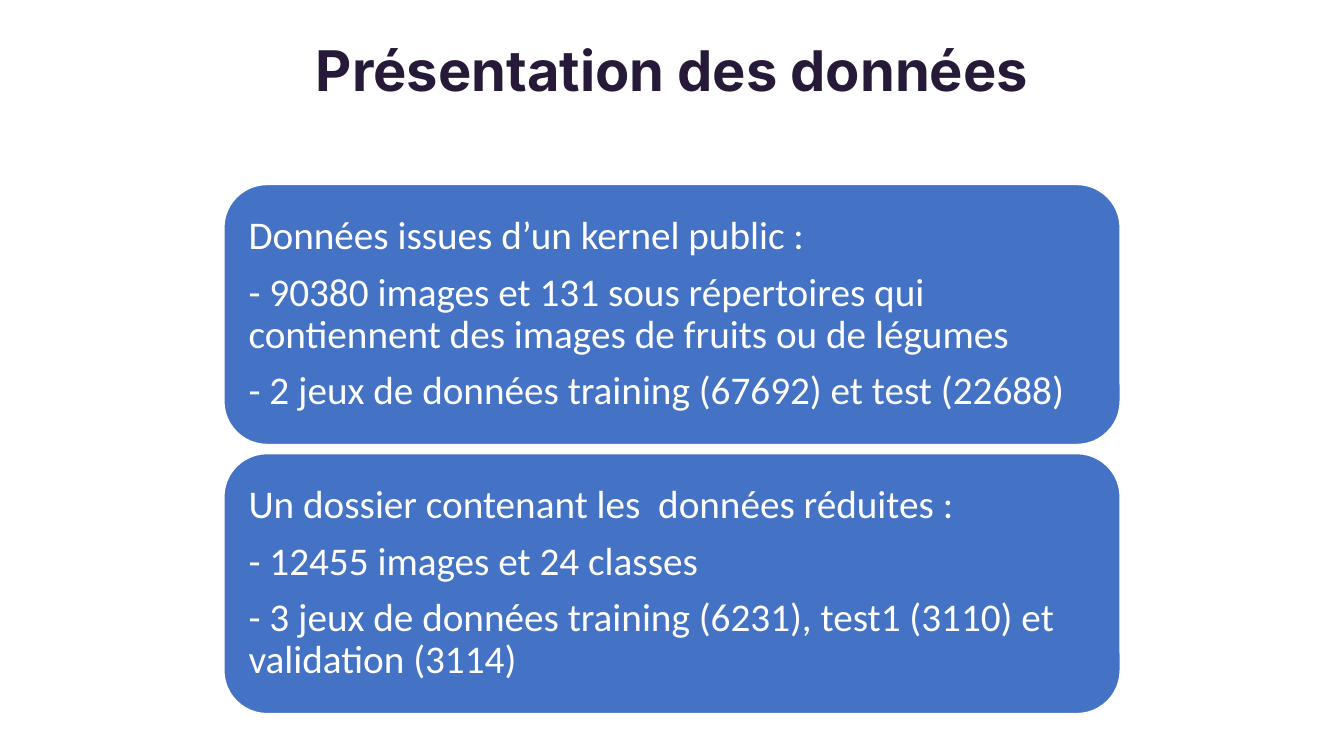
"""Build the slide that presents the full and the reduced data sets."""
from pptx import Presentation
from pptx.dml.color import RGBColor
from pptx.enum.shapes import MSO_SHAPE
from pptx.enum.text import MSO_ANCHOR, PP_ALIGN
from pptx.util import Inches, Pt

ROUNDED = MSO_SHAPE.ROUNDED_RECTANGLE
MIDDLE = MSO_ANCHOR.MIDDLE
LEFT, CENTER = PP_ALIGN.LEFT, PP_ALIGN.CENTER

CARD_LEFT, CARD_TOP = 2.22, 1.83
CARD_WIDTH, CARD_HEIGHT = 8.89, 2.58
CARD_GAP = 0.09
INSET = Inches(0.12)

CARDS = [
    [
        "Données issues d’un kernel public :",
        "- 90380 images et 131 sous répertoires qui contiennent des images de fruits ou de légumes",
        "- 2 jeux de données training (67692) et test (22688)",
    ],
    [
        "Un dossier contenant les  données réduites :",
        "- 12455 images et 24 classes",
        "- 3 jeux de données training (6231), test1 (3110) et validation (3114)",
    ],
]


def rgb(value):
    return RGBColor.from_string(value)


def write(p, text, font="Calibri", size=28, color="FFFFFF", bold=False, align=LEFT, after=0):
    p.alignment = align
    p.line_spacing = 0.9
    p.space_before = Pt(0)
    p.space_after = Pt(after)
    r = p.add_run()
    r.text = text
    r.font.name = font
    r.font.size = Pt(size)
    r.font.bold = bold
    r.font.color.rgb = rgb(color)


prs = Presentation()
prs.slide_width, prs.slide_height = Inches(13.33), Inches(7.5)
s = prs.slides.add_slide(prs.slide_layouts[5])

title = s.shapes.title
title.left, title.top = Inches(1.08), Inches(0.36)
title.width, title.height = Inches(11.17), Inches(0.74)
title.text_frame.vertical_anchor = MIDDLE
write(title.text_frame.paragraphs[0], "Présentation des données",
      font="Inter", size=40, color="271A38", bold=True, align=CENTER)

for row, lines in enumerate(CARDS):
    top = CARD_TOP + row * (CARD_HEIGHT + CARD_GAP)
    sp = s.shapes.add_shape(ROUNDED, Inches(CARD_LEFT), Inches(top),
                            Inches(CARD_WIDTH), Inches(CARD_HEIGHT))
    sp.shadow.inherit = False
    sp.fill.solid()
    sp.fill.fore_color.rgb = rgb("4472C4")
    sp.line.color.rgb = rgb("FFFFFF")
    sp.line.width = Pt(1)
    tf = sp.text_frame
    tf.word_wrap = True
    tf.vertical_anchor = MIDDLE
    tf.margin_left = tf.margin_right = tf.margin_top = tf.margin_bottom = INSET
    for i, line in enumerate(lines):
        p = tf.add_paragraph() if i else tf.paragraphs[0]
        write(p, line, after=10)

prs.save("out.pptx")
